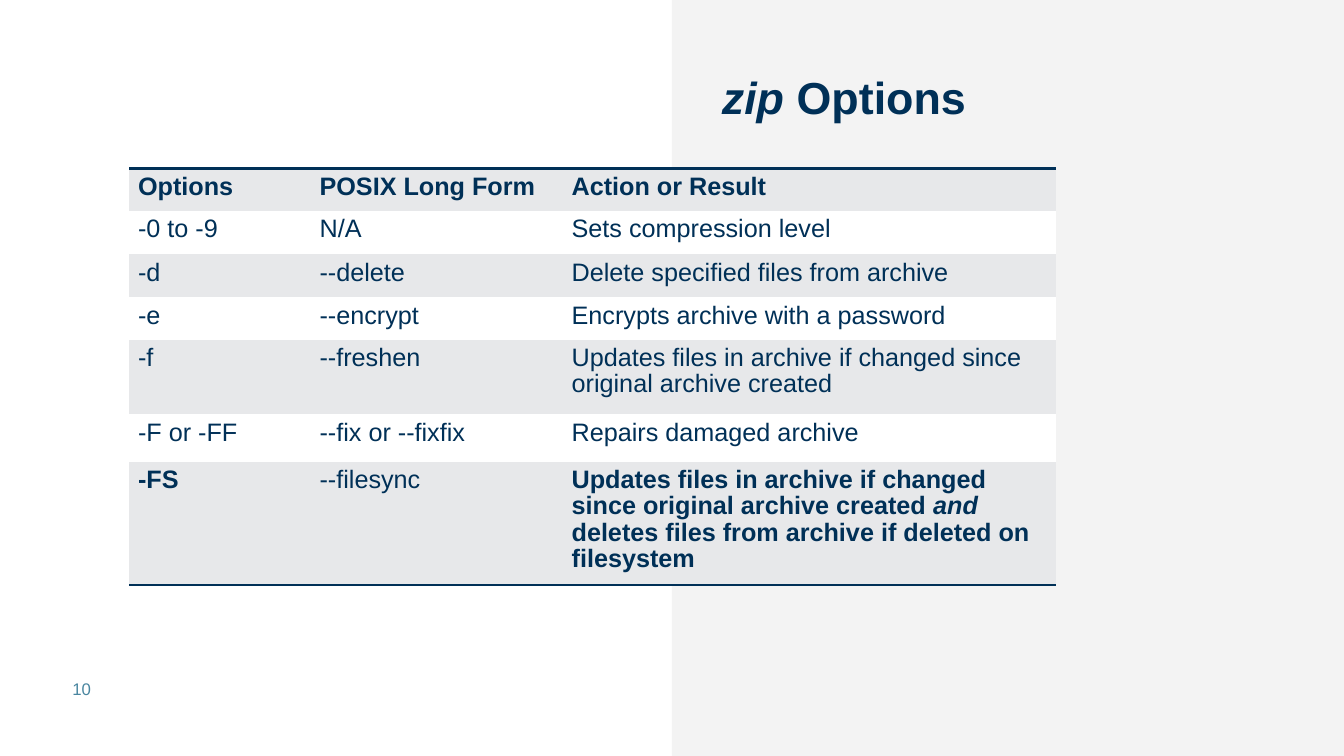
from lxml import etree
from pptx import Presentation
from pptx import util as u
from pptx.dml.color import RGBColor
from pptx.enum import shapes, text
from pptx.oxml.ns import qn

# Content: each text is a list of (words, style), b = bold, i = italic
TITLE = [("zip", "bi"), (" Options", "b")]
PAGE_NUMBER = [("10", "")]
ROWS = [
    ([("Options", "b")], [("POSIX Long Form", "b")], [("Action or Result", "b")]),
    ([("-0 to -9", "")], [("N/A", "")], [("Sets compression level", "")]),
    ([("-d", "")], [("--delete", "")], [("Delete specified files from archive", "")]),
    ([("-e", "")], [("--encrypt", "")], [("Encrypts archive with a password", "")]),
    ([("-f", "")], [("--freshen", "")],
     [("Updates files in archive if changed since original archive created", "")]),
    ([("-F or -FF", "")], [("--fix or --fixfix", "")], [("Repairs damaged archive", "")]),
    ([("-FS", "b")], [("--filesync", "")],
     [("Updates files in archive if changed since original archive created ", "b"),
      ("and", "bi"),
      (" deletes files from archive if deleted on filesystem", "b")]),
]

# Look and layout, in inches
NAVY = RGBColor(0x00, 0x30, 0x57)
STEEL = RGBColor(0x49, 0x86, 0xA0)
PANEL_GRAY = RGBColor(0xE8, 0xE9, 0xE9)
BAND_COLORS = (RGBColor(0xE7, 0xE8, 0xEA), RGBColor(0xFF, 0xFF, 0xFF))
FONT = "Arial"
WIDTH, HEIGHT = 13.33, 7.5
TABLE_LEFT, TABLE_TOP = 1.28, 1.67
COLUMN_WIDTHS = (1.8, 2.5, 4.89)
ROW_HEIGHTS = (0.42, 0.43, 0.43, 0.42, 0.74, 0.47, 0.74)
NO_STYLE = "{2D5ABB26-0587-4C30-8999-92F81FD0307C}"


def box(*lengths):
    return [u.Inches(length) for length in lengths]


def write(frame, pieces, size, color, spacing=1.0):
    paragraph = frame.paragraphs[0]
    paragraph.alignment = text.PP_ALIGN.LEFT
    paragraph.line_spacing = spacing
    for words, style in pieces:
        run = paragraph.add_run()
        run.text = words
        run.font.name = FONT
        run.font.size = u.Pt(size)
        run.font.color.rgb = color
        run.font.bold = "b" in style
        run.font.italic = "i" in style


def add_rule(cell, side):
    line = etree.Element(qn(f"a:{side}"), w=str(u.Pt(2)))
    fill = etree.SubElement(line, qn("a:solidFill"))
    etree.SubElement(fill, qn("a:srgbClr"), val=str(NAVY))
    cell._tc.get_or_add_tcPr().insert(0, line)


presentation = Presentation()
presentation.slide_width, presentation.slide_height = box(WIDTH, HEIGHT)
slide = presentation.slides.add_slide(presentation.slide_layouts[5])

# Half-transparent panel on the right half, behind everything
panel = slide.shapes.add_shape(
    shapes.MSO_SHAPE.RECTANGLE, *box(WIDTH / 2, 0, WIDTH / 2, HEIGHT))
panel.shadow.inherit = False
panel.line.fill.background()
panel.fill.solid()
panel.fill.fore_color.rgb = PANEL_GRAY
panel_color = panel._element.spPr.find(f".//{qn('a:srgbClr')}")
etree.SubElement(panel_color, qn("a:alpha"), val="50000")
slide.shapes._spTree.insert(2, panel._element)

# Title
title = slide.shapes.title
title.left, title.top, title.width, title.height = box(7.06, 0.7, 5.68, 0.67)
title.text_frame.vertical_anchor = text.MSO_ANCHOR.TOP
write(title.text_frame, TITLE, 32, NAVY, 0.9)

# Page number
number = slide.shapes.add_textbox(*box(0.62, 6.63, 0.66, 0.4)).text_frame
number.word_wrap = True
number.vertical_anchor = text.MSO_ANCHOR.MIDDLE
write(number, PAGE_NUMBER, 12, STEEL)

# Options table
table = slide.shapes.add_table(
    len(ROWS), len(COLUMN_WIDTHS),
    *box(TABLE_LEFT, TABLE_TOP, sum(COLUMN_WIDTHS), sum(ROW_HEIGHTS))).table
table.first_row = table.horz_banding = False
table._tbl.tblPr.find(qn("a:tableStyleId")).text = NO_STYLE
for column, width in zip(table.columns, COLUMN_WIDTHS):
    column.width = u.Inches(width)
for row_index, (row, height) in enumerate(zip(ROWS, ROW_HEIGHTS)):
    table.rows[row_index].height = u.Inches(height)
    for column_index, pieces in enumerate(row):
        cell = table.cell(row_index, column_index)
        cell.margin_left = cell.margin_right = u.Inches(0.09)
        cell.margin_top, cell.margin_bottom = box(0.06, 0.05)
        cell.fill.solid()
        cell.fill.fore_color.rgb = BAND_COLORS[row_index % 2]
        is_option = pieces[0][0].startswith("-")
        write(cell.text_frame, pieces, 18, NAVY, 0.94 if is_option else 0.93)
        if row_index == 0:
            add_rule(cell, "lnT")
        elif row_index == len(ROWS) - 1:
            add_rule(cell, "lnB")

presentation.save("out.pptx")
